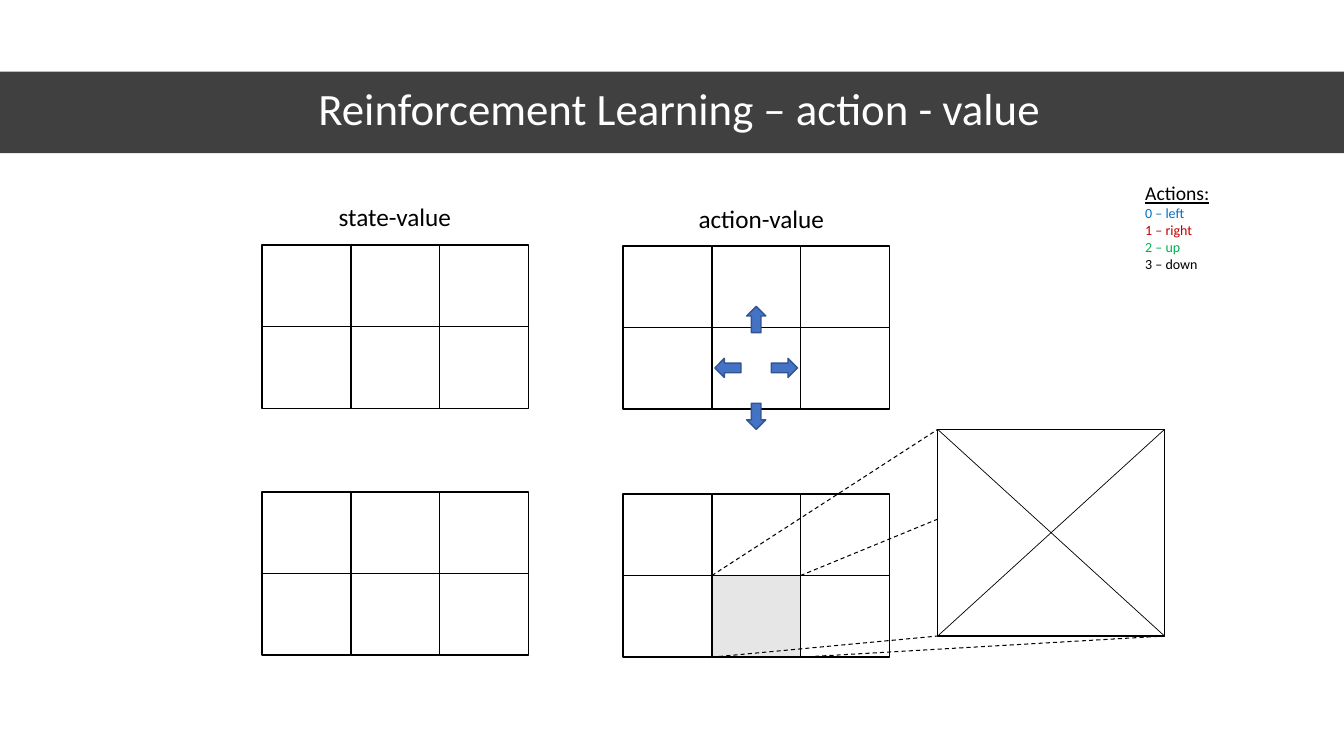
import dataclasses

import pptx
import pptx.dml.color
import pptx.enum.dml
import pptx.enum.shapes
import pptx.enum.text
import pptx.oxml.ns
import pptx.util
from lxml import etree

Inches = pptx.util.Inches
Pt = pptx.util.Pt
ShapeType = pptx.enum.shapes.MSO_SHAPE
Align = pptx.enum.text.PP_ALIGN
Anchor = pptx.enum.text.MSO_ANCHOR


@dataclasses.dataclass(frozen=True)
class Theme:
    font: str = "Calibri"
    black: str = "000000"
    white: str = "FFFFFF"
    highlight: str = "E7E6E6"
    arrow_fill: str = "4472C4"
    arrow_line: str = "325491"
    left: str = "0070C0"
    right: str = "C00000"
    up: str = "00B050"
    title_size: int = 32
    label_size: int = 18
    legend_title_size: int = 14
    legend_size: int = 10


THEME = Theme()
CELL_WIDTH, CELL_HEIGHT = 0.88, 0.81
ROWS, COLUMNS = 2, 3


def color(value):
    return pptx.dml.color.RGBColor.from_string(value)


def add_box(shapes, kind, left, top, width, height, fill=None, line=None, rotation=0):
    shape = shapes.add_shape(kind, Inches(left), Inches(top), Inches(width), Inches(height))
    shape.shadow.inherit = False
    shape.rotation = rotation
    if fill:
        shape.fill.solid()
        shape.fill.fore_color.rgb = color(fill)
    else:
        shape.fill.background()
    if line:
        shape.line.color.rgb = color(line)
        shape.line.width = Pt(1)
    else:
        shape.line.fill.background()
    return shape


def add_line(shapes, start, end, width, dashed=False):
    connector = shapes.add_connector(
        pptx.enum.shapes.MSO_CONNECTOR.STRAIGHT, *map(Inches, start + end))
    connector.line.color.rgb = color(THEME.black)
    connector.line.width = Pt(width)
    if dashed:
        connector.line.dash_style = pptx.enum.dml.MSO_LINE.DASH
    etree.SubElement(connector._element.spPr, pptx.oxml.ns.qn("a:effectLst"))


def write_paragraph(paragraph, text, *, size, font_color=THEME.black,
                    underline=False, align=Align.LEFT, spacing=1.0):
    paragraph.alignment = align
    paragraph.line_spacing = spacing
    run = paragraph.add_run()
    run.text = text
    run.font.name = THEME.font
    run.font.size = Pt(size)
    run.font.underline = underline
    run.font.color.rgb = color(font_color)


def add_text(shapes, left, top, width, height, wrap=False, anchor=Anchor.TOP):
    frame = shapes.add_textbox(
        Inches(left), Inches(top), Inches(width), Inches(height)).text_frame
    frame.word_wrap = wrap
    frame.vertical_anchor = anchor
    return frame


def add_grid(slide, left, top, shaded=None):
    shapes = slide.shapes.add_group_shape().shapes
    for row in range(ROWS):
        for column in range(COLUMNS):
            fill = THEME.highlight if (row, column) == shaded else THEME.white
            add_box(shapes, ShapeType.RECTANGLE, left + column * CELL_WIDTH,
                    top + row * CELL_HEIGHT, CELL_WIDTH, CELL_HEIGHT, fill, THEME.black)


def add_title(slide):
    bar = add_box(slide.shapes, ShapeType.RECTANGLE, 0, 0.71, 13.33, 0.81, THEME.black)
    bar_color = bar._element.spPr.find(".//" + pptx.oxml.ns.qn("a:srgbClr"))
    etree.SubElement(bar_color, pptx.oxml.ns.qn("a:alpha"), val="75000")
    frame = add_text(slide.shapes, 0.61, 0.7, 12.26, 0.81, wrap=True, anchor=Anchor.MIDDLE)
    write_paragraph(frame.paragraphs[0], "Reinforcement Learning – action - value",
                    size=THEME.title_size, font_color=THEME.white,
                    align=Align.CENTER, spacing=0.9)


def add_label(slide, text, left, top, width):
    frame = add_text(slide.shapes, left, top, width, 0.4)
    write_paragraph(frame.paragraphs[0], text, size=THEME.label_size)


def add_action_arrows(slide):
    center_x, center_y = 7.5, 3.65
    width, height = 0.19, 0.26
    reach_x, reach_y = 0.28, 0.48
    for step_x, step_y, rotation in ((0, -1, 0), (0, 1, 180), (-1, 0, 270), (1, 0, 90)):
        add_box(slide.shapes, ShapeType.UP_ARROW,
                center_x + step_x * reach_x - width / 2,
                center_y + step_y * reach_y - height / 2,
                width, height, THEME.arrow_fill, THEME.arrow_line, rotation)


def add_legend(slide):
    frame = add_text(slide.shapes, 11.26, 1.75, 0.85, 1.01)
    write_paragraph(frame.paragraphs[0], "Actions:",
                    size=THEME.legend_title_size, underline=True)
    actions = (("left", THEME.left), ("right", THEME.right),
               ("up", THEME.up), ("down", THEME.black))
    for number, (name, action_color) in enumerate(actions):
        write_paragraph(frame.add_paragraph(), f"{number} – {name}",
                        size=THEME.legend_size, font_color=action_color)


def add_zoomed_cell(slide, cell_left, cell_top):
    left, top, width, height = 9.3, 4.26, 2.25, 2.05
    right, bottom = left + width, top + height
    cell_right, cell_bottom = cell_left + CELL_WIDTH, cell_top + CELL_HEIGHT

    # Dashed lines from the shaded cell to its enlarged view
    for start, end in (((cell_left, cell_top), (left, top)),
                       ((cell_right, cell_top), (left, 5.15)),
                       ((cell_left, cell_bottom), (left, bottom)),
                       ((cell_right, cell_bottom), (right, bottom))):
        add_line(slide.shapes, start, end, 0.75, dashed=True)

    # Enlarged cell split into one triangle per action
    shapes = slide.shapes.add_group_shape().shapes
    add_box(shapes, ShapeType.RECTANGLE, left, top, width, height, line=THEME.black)
    center = (left + width / 2, top + height / 2)
    for corner_x in (left, right):
        for corner_y in (top, bottom):
            add_line(shapes, (corner_x, corner_y), center, 0.5)


def main():
    presentation = pptx.Presentation()
    presentation.slide_width = Inches(13.33)
    presentation.slide_height = Inches(7.5)
    slide = presentation.slides.add_slide(presentation.slide_layouts[6])

    add_title(slide)

    # State-value column
    add_label(slide, "state-value", 3.26, 1.95, 1.33)
    add_grid(slide, 2.6, 2.43)
    add_grid(slide, 2.6, 4.88)

    # Action-value column
    action_left, lower_top = 6.18, 4.9
    add_label(slide, "action-value", 6.83, 1.97, 1.46)
    add_grid(slide, action_left, 2.44)
    add_action_arrows(slide)
    add_grid(slide, action_left, lower_top, shaded=(1, 1))
    add_zoomed_cell(slide, action_left + CELL_WIDTH, lower_top + CELL_HEIGHT)

    add_legend(slide)
    presentation.save("out.pptx")


if __name__ == "__main__":
    main()
